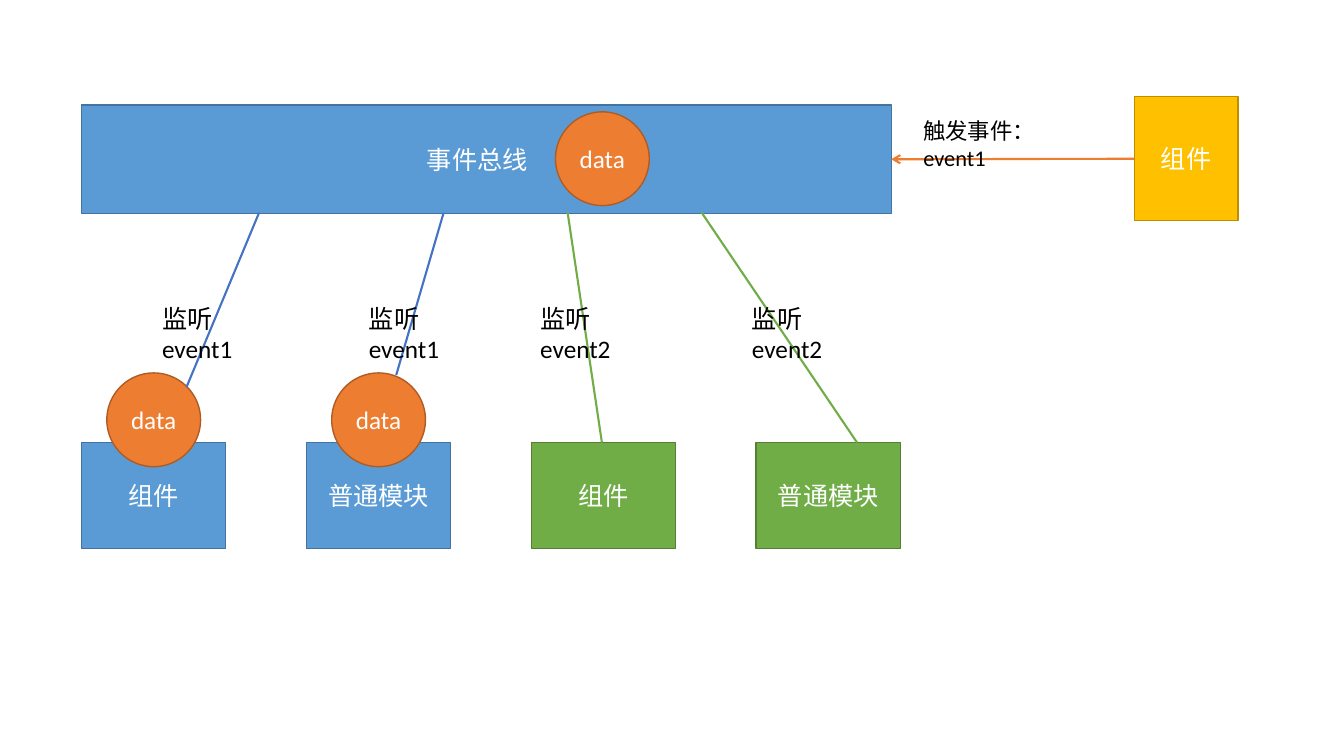
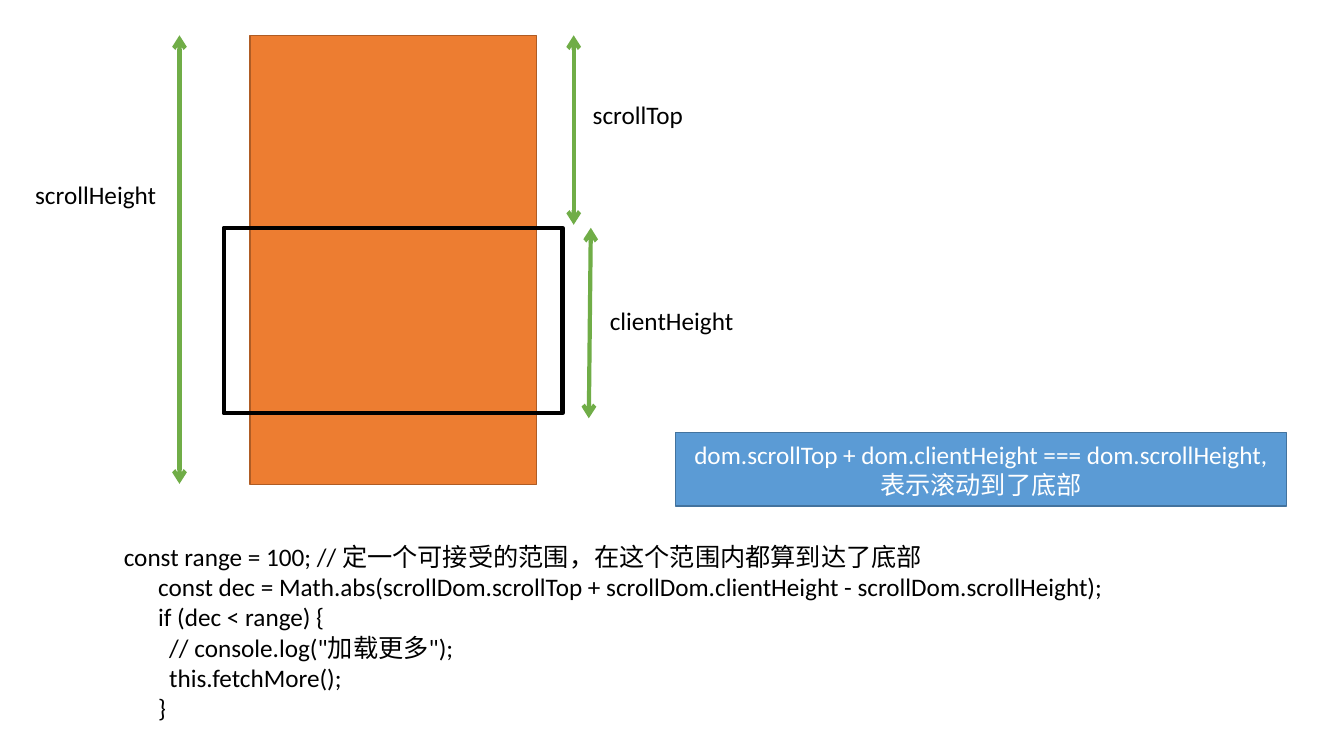
from pptx import Presentation
from pptx.dml.color import RGBColor
from pptx.enum.shapes import MSO_CONNECTOR as LINK, MSO_SHAPE as PRESET
from pptx.enum.text import MSO_ANCHOR as ANCHOR, PP_ALIGN as ALIGN
from pptx.oxml.ns import qn
from pptx.util import Inches, Pt
from lxml.etree import SubElement

FONT = "Calibri"
COLORS = {
    "blue": "5B9BD5", "blue_edge": "43739E", "deep_blue": "4472C4",
    "orange": "ED7D31", "orange_edge": "AF5C24",
    "green": "70AD47", "green_edge": "538035",
    "gold": "FFC000", "gold_edge": "BD8E00",
    "black": "000000", "white": "FFFFFF",
}


def color(name):
    """Return the palette colour with this name."""
    return RGBColor.from_string(COLORS[name])


def write(shape, text, size=18, ink="black", align=ALIGN.LEFT,
          anchor=ANCHOR.TOP, wrap=True, indents=(), right=0.1):
    """Fill a shape with formatted text, one paragraph a line."""
    frame = shape.text_frame
    frame.word_wrap = wrap
    frame.vertical_anchor = anchor
    frame.margin_right = Inches(right)
    for index, line in enumerate(text.split("\n")):
        paragraph = frame.paragraphs[0] if index == 0 else frame.add_paragraph()
        paragraph.alignment = align
        if indents:
            paragraph._p.get_or_add_pPr().set("marL", str(Inches(indents[index])))
        run = paragraph.add_run()
        run.text = line
        run.font.name = FONT
        run.font.size = Pt(size)
        run.font.color.rgb = color(ink)


def add_label(slide, box, text, **style):
    """Place a text box."""
    label = slide.shapes.add_textbox(*map(Inches, box))
    write(label, text, **style)


def add_block(slide, box, fill, text="", preset=PRESET.RECTANGLE,
              edge=None, weight=1, **style):
    """Place a preset shape with an optional centred caption."""
    block = slide.shapes.add_shape(preset, *map(Inches, box))
    block.shadow.inherit = False
    if fill:
        block.fill.solid()
        block.fill.fore_color.rgb = color(fill)
    else:
        block.fill.background()
    block.line.color.rgb = color(edge or f"{fill}_edge")
    block.line.width = Pt(weight)
    if text:
        write(block, text, ink="white", align=ALIGN.CENTER,
              anchor=ANCHOR.MIDDLE, **style)
    return block


def add_line(slide, start, end, ink, weight=1.5, arrows=()):
    """Draw a straight connector with arrows at the named ends."""
    line = slide.shapes.add_connector(LINK.STRAIGHT, *map(Inches, (*start, *end)))
    line.line.color.rgb = color(ink)
    line.line.width = Pt(weight)
    for arrow in arrows:
        SubElement(line.line._get_or_add_ln(), qn(f"a:{arrow}"), type="arrow")
    SubElement(line._element.spPr, qn("a:effectLst"))
    return line


def add_data(slide, left, top):
    """Place the round data token."""
    add_block(slide, (left, top, 0.93, 0.93), "orange", "data", PRESET.OVAL)


def add_bus(slide, box):
    """Place the event bus with its data token."""
    left, top, width, height = box
    bus = add_block(slide, box, "blue", "事件总线", right=0.28)
    add_data(slide, left + 4.7, top + 0.07)
    return bus


def add_listeners(slide, left, top):
    """Place the row of listeners and link each to the bus above."""
    pitch = 2.23
    listeners = [
        ("组件", "event1", (1.85, 3.84), (2.57, 2.11), 1.51),
        ("普通模块", "event1", (3.93, 3.72), (4.4, 2.11), 3.56),
        ("组件", "event2", (5.97, 4.39), (5.63, 2.11), 5.26),
        ("普通模块", "event2", (8.5, 4.39), (6.96, 2.11), 7.36),
    ]
    for index, (caption, event, start, end, label_left) in enumerate(listeners):
        receives = event == "event1"
        x = left + index * pitch
        add_block(slide, (x, top, 1.43, 1.05), "blue" if receives else "green", caption)
        if receives:
            add_data(slide, x + 0.25, top - 0.69)
        add_line(slide, start, end, "deep_blue" if receives else "green")
        add_label(slide, (label_left, top - 1.43, 1.3, 0.7), f"监听{event}")


def add_trigger(slide, box, bus):
    """Place the component that fires the event into the bus."""
    left, top, width, height = box
    middle = top + height / 2
    component = add_block(slide, box, "gold", "组件")
    arrow = add_line(slide, (left, middle), (8.84, middle), "orange", arrows=["tailEnd"])
    arrow.begin_connect(component, 1)
    arrow.end_connect(bus, 3)
    add_label(slide, (left - 2.19, top + 0.15, 1.8, 0.6), "触发事件：event1", size=16)


def build_event_bus(slide):
    """Build the event bus diagram."""
    bus = add_bus(slide, (0.81, 1.04, 8.03, 1.08))
    add_listeners(slide, 0.81, 4.39)
    add_trigger(slide, (11.25, 0.96, 1.03, 1.23), bus)


def add_scroll_diagram(slide, left, top):
    """Show the page, its viewport and the three measured heights."""
    add_block(slide, (left, top, 2.84, 4.46), "orange")
    add_block(slide, (left - 0.26, top + 1.91, 3.36, 1.84), None, edge="black", weight=3)
    measures = [
        ("scrollHeight", (-0.7, 0), (-0.7, 4.45), (-2.23, 1.38, 1.4)),
        ("clientHeight", (3.38, 1.91), (3.36, 3.8), (3.47, 2.63, 1.43)),
        ("scrollTop", (3.21, 0), (3.21, 1.88), (3.3, 0.59, 1.1)),
    ]
    for name, start, end, (label_x, label_y, label_width) in measures:
        add_line(slide, (left + start[0], top + start[1]), (left + end[0], top + end[1]),
                 "green", weight=3, arrows=["headEnd", "tailEnd"])
        add_label(slide, (left + label_x, top + label_y, label_width, 0.4), name, wrap=False)


def build_scroll(slide):
    """Build the scroll-to-bottom explanation."""
    add_scroll_diagram(slide, 2.48, 0.35)
    add_block(slide, (6.7, 4.29, 6.06, 0.73), "blue",
              "dom.scrollTop + dom.clientHeight === dom.scrollHeight,表示滚动到了底部")
    code = [
        (0, "const range = 100; // 定一个可接受的范围，在这个范围内都算到达了底部"),
        (0.34, "const dec = Math.abs(scrollDom.scrollTop + scrollDom.clientHeight"
               " - scrollDom.scrollHeight);"),
        (0.34, "if (dec < range) {"),
        (0.45, '// console.log("加载更多");'),
        (0.45, "this.fetchMore();"),
        (0.34, "}"),
    ]
    indents, lines = zip(*code)
    add_label(slide, (1.13, 5.32, 10.64, 1.92), "\n".join(lines), indents=indents)


def main():
    """Build and save the deck."""
    deck = Presentation()
    deck.slide_width, deck.slide_height = Inches(13.33), Inches(7.5)
    for build in (build_event_bus, build_scroll):
        build(deck.slides.add_slide(deck.slide_layouts[6]))
    deck.save("out.pptx")


if __name__ == "__main__":
    main()
